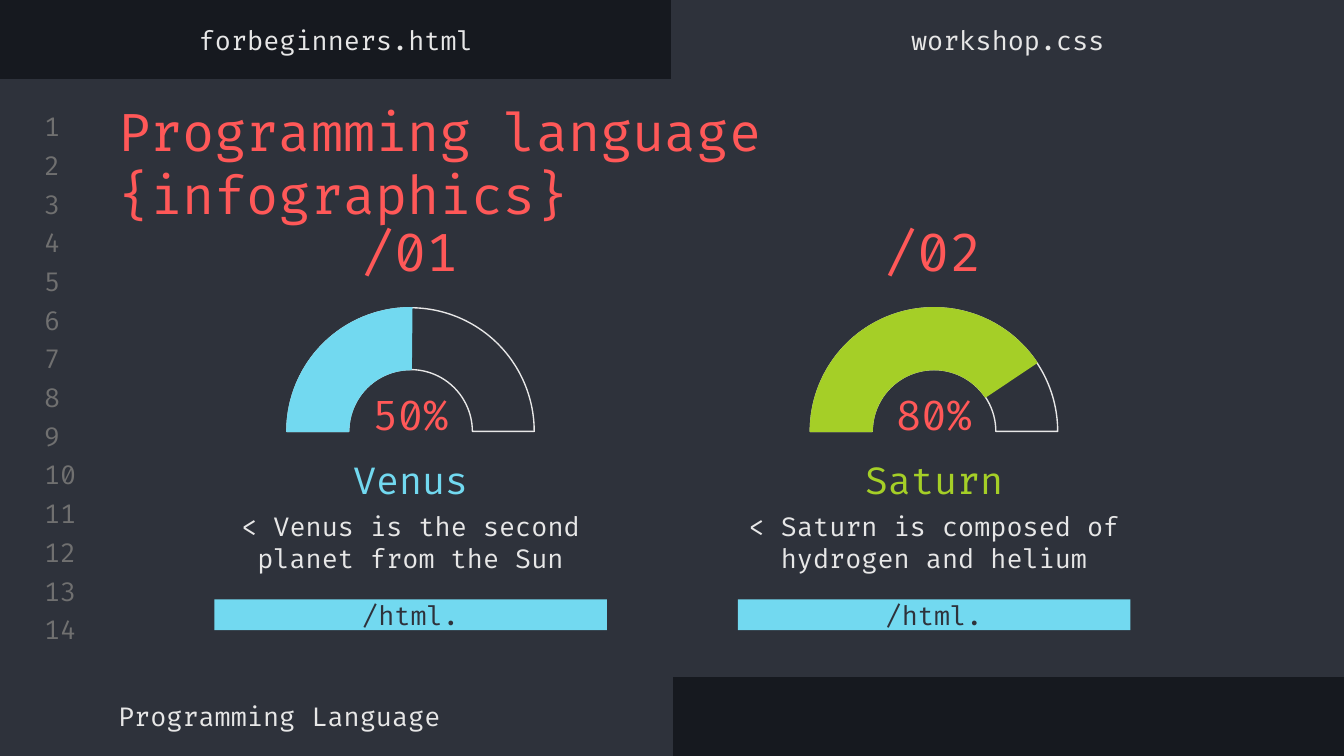
"""Build a code-editor styled slide with two gauge cards on a 0.1-inch grid."""
import pptx
import pptx.dml.color
import pptx.enum.shapes
import pptx.enum.text
import pptx.util

COLS, ROWS = 100, 56.25
UNIT = pptx.util.Inches(0.1)
FONT = "Fira Code"
COLORS = {
    "dark": "16191F", "panel": "2E323B", "gutter": "707070", "light": "E7E7E7",
    "red": "FF5858", "blue": "72D9F0", "green": "A5CF27",
}
SHAPE = pptx.enum.shapes.MSO_SHAPE
ANCHOR = pptx.enum.text.MSO_ANCHOR
ALIGN = pptx.enum.text.PP_ALIGN


def rgb(name):
    """Return the named palette colour."""
    return pptx.dml.color.RGBColor.from_string(COLORS[name])


def emu(box):
    """Convert a box of grid columns and rows to slide lengths."""
    return [round(v * UNIT) for v in box]


def centred(box, top, width, height):
    """Return a box centred across the given one, starting at a row below its top."""
    x, y, w, _ = box
    return x + (w - width) / 2, y + top, width, height


def write(sp, text, size, color, align=ALIGN.LEFT, anchor=ANCHOR.MIDDLE, side=1):
    """Write one formatted paragraph into a shape."""
    tf = sp.text_frame
    tf.word_wrap = True
    tf.auto_size = pptx.enum.text.MSO_AUTO_SIZE.NONE
    tf.vertical_anchor = anchor
    tf.margin_left = tf.margin_right = side * UNIT
    tf.margin_top = tf.margin_bottom = UNIT
    p = tf.paragraphs[0]
    p.text = text
    p.alignment = align
    p.font.name = FONT
    p.font.size = pptx.util.Pt(size)
    p.font.color.rgb = rgb(color)


def add_text(s, box, *args, **kwargs):
    """Add a text box with one paragraph."""
    write(s.shapes.add_textbox(*emu(box)), *args, **kwargs)


def add_shape(s, kind, box, fill=None, line=None):
    """Add a flat preset shape with an optional fill and outline."""
    sp = s.shapes.add_shape(kind, *emu(box))
    sp.shadow.inherit = False
    if fill:
        sp.fill.solid()
        sp.fill.fore_color.rgb = rgb(fill)
    else:
        sp.fill.background()
    if line:
        sp.line.color.rgb = rgb(line)
        sp.line.width = pptx.util.Pt(0.75)
    else:
        sp.line.fill.background()
    return sp


def add_arc(s, box, end, fill, line):
    """Add a ring segment running clockwise from the left to the end angle."""
    sp = add_shape(s, SHAPE.BLOCK_ARC, box, fill, line)
    for i, value in enumerate((180 * 0.6, end * 0.6, 0.25)):
        sp.adjustments[i] = value


def add_window(s, box):
    """Draw the editor panel with its open tab and status bar."""
    x, y, w, h = box
    half, bar = w / 2, 6.5
    for part in (
        (x + half, y, half, bar),
        (x, y + h - bar, half, bar),
        (x, y + 5.9, w, 44.4),
    ):
        add_shape(s, SHAPE.RECTANGLE, part, "panel", "panel")


def add_gutter(s, box, count):
    """Number the editor lines evenly down the box."""
    x, y, w, h = box
    pitch = h / count
    for i in range(count):
        add_text(s, (x, y + i * pitch, w, 2.4), str(i + 1), 14, "gutter")


def add_title(s, box, text):
    """Place the title placeholder in front of the editor panel."""
    sp = s.shapes.title
    s.shapes._spTree.append(sp._element)
    sp.left, sp.top, sp.width, sp.height = emu(box)
    write(sp, text, 28, "red", anchor=ANCHOR.TOP)


def add_tabs(s, box, names):
    """Label equal file tabs across the box."""
    x, y, w, h = box
    step = w / len(names)
    for i, name in enumerate(names):
        add_text(s, (x + i * step, y, step, h), name, 14, "light", ALIGN.CENTER)


def add_card(s, box, number, percent, end, name, note, color):
    """Build a gauge card with its number, name, note and tag bar."""
    w = box[2]
    ring = centred(box, 6.9, 18.4, 18.4)
    add_arc(s, ring, 0, None, "light")
    add_arc(s, ring, end, color, color)
    for top, width, height, text, size, tint, anchor in (
        (0, w, 5.3, number, 28, "red", ANCHOR.MIDDLE),
        (13.1, 11.6, 3.4, percent, 22, "red", ANCHOR.MIDDLE),
        (17.8, w, 3.7, name, 20, color, ANCHOR.MIDDLE),
        (21, w, 6.3, note, 14, "light", ANCHOR.TOP),
    ):
        add_text(s, centred(box, top, width, height), text, size, tint,
                 ALIGN.CENTER, anchor)
    bar = add_shape(s, SHAPE.RECTANGLE, centred(box, 28.6, 29.2, 2.3), "blue")
    write(bar, "/html.", 14, "panel", ALIGN.CENTER, side=0)


def main():
    """Assemble and save the slide."""
    prs = pptx.Presentation()
    prs.slide_width, prs.slide_height = emu((COLS, ROWS))
    s = prs.slides.add_slide(prs.slide_layouts[5])
    s.background.fill.solid()
    s.background.fill.fore_color.rgb = rgb("dark")
    add_window(s, (0, 0, COLS, ROWS))
    add_gutter(s, (2.3, 8.2, 4.7, 40.3), 14)
    add_title(s, (7.8, 6.4, 84, 6.3), "Programming language {infographics}")
    add_text(s, (7.8, 51.3, 53.2, 3.9), "Programming Language", 14, "light")
    add_tabs(s, (0, 1, COLS, 3.9), ("forbeginners.html", "workshop.css"))
    cards = (
        ("/01", "50%", 270.6, "Venus",
         "< Venus is the second planet from the Sun", "blue"),
        ("/02", "80%", 326.2, "Saturn",
         "< Saturn is composed of hydrogen and helium", "green"),
    )
    for i, card in enumerate(cards):
        add_card(s, (15.1 + i * 38.95, 16, 30.9, 30.9), *card)
    prs.save("out.pptx")


if __name__ == "__main__":
    main()
